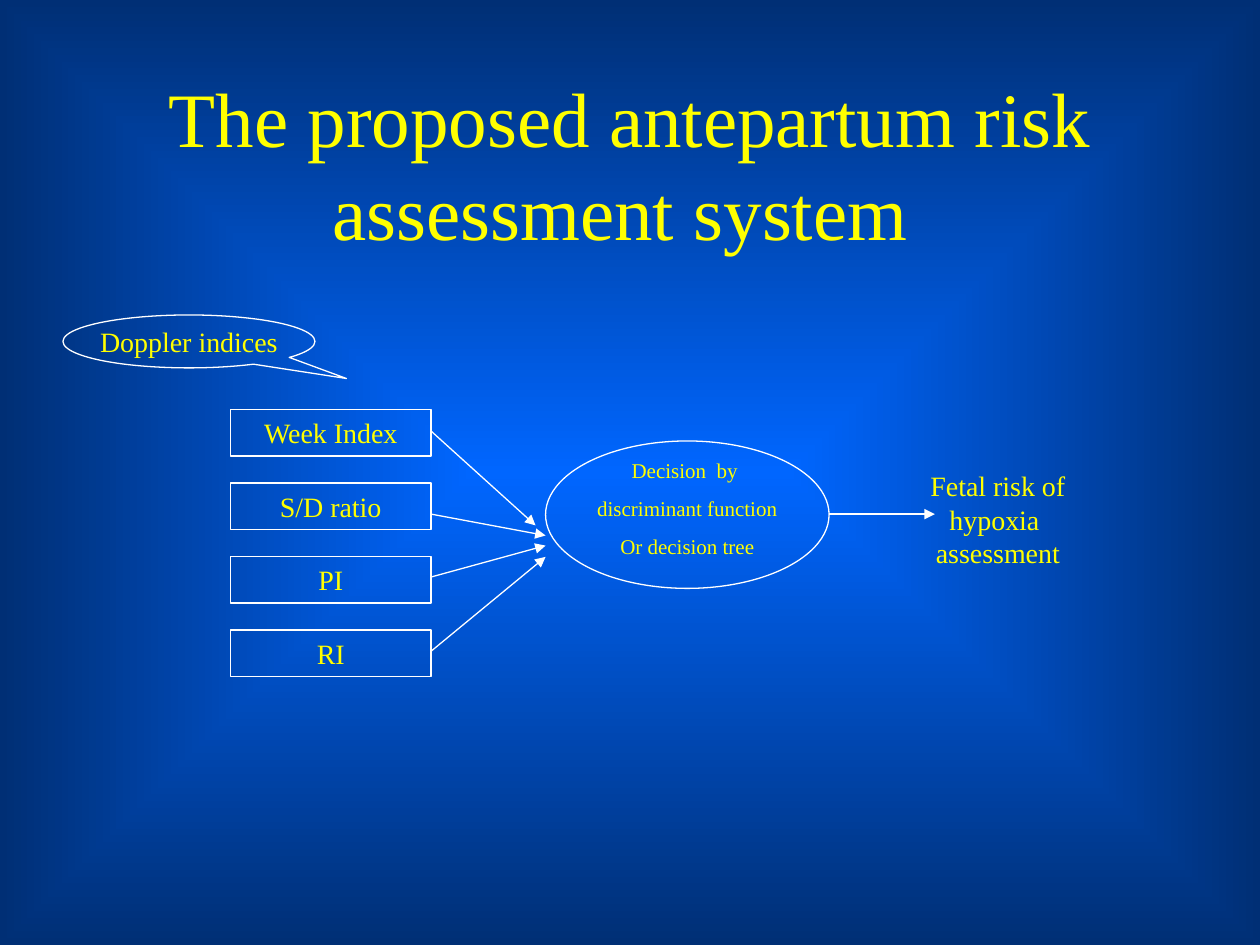
import pptx
import pptx.dml.color
import pptx.enum.shapes
import pptx.enum.text
import pptx.oxml
import pptx.oxml.ns
import pptx.util
from pptx.util import Inches

YELLOW = pptx.dml.color.RGBColor(0xFF, 0xFF, 0x00)
WHITE = pptx.dml.color.RGBColor(0xFF, 0xFF, 0xFF)
BRIGHT_BLUE = pptx.dml.color.RGBColor(0x00, 0x66, 0xFF)
DARK_BLUE = pptx.dml.color.RGBColor(0x00, 0x2F, 0x75)
FONT = "Times New Roman"
ANCHOR = pptx.enum.text.MSO_ANCHOR
SHAPES = pptx.enum.shapes.MSO_SHAPE


def drawing_element(tag, attributes="", content=""):
    namespace = pptx.oxml.ns.nsdecls("a")
    return pptx.oxml.parse_xml(
        f"<a:{tag} {namespace} {attributes}>{content}</a:{tag}>")


def set_background(slide):
    fill = slide.background.fill
    fill.gradient()
    for stop, color, position in zip(
            fill.gradient_stops, (BRIGHT_BLUE, DARK_BLUE), (0, 1)):
        stop.color.rgb = color
        stop.position = position
    # Turn the linear gradient into one that spreads from the centre
    gradient = slide.element.find(".//" + pptx.oxml.ns.qn("a:gradFill"))
    linear = gradient.find(pptx.oxml.ns.qn("a:lin"))
    center = '<a:fillToRect l="50000" t="50000" r="50000" b="50000"/>'
    gradient.replace(linear, drawing_element("path", 'path="rect"', center))


def write_text(shape, *lines, size=16, anchor=ANCHOR.TOP, space_between=0,
               wrap=True):
    frame = shape.text_frame
    frame.word_wrap = wrap
    frame.auto_size = pptx.enum.text.MSO_AUTO_SIZE.NONE
    frame.vertical_anchor = anchor
    for index, line in enumerate(lines):
        paragraph = frame.add_paragraph() if index else frame.paragraphs[0]
        paragraph.text = line
        paragraph.alignment = pptx.enum.text.PP_ALIGN.CENTER
        if index:
            paragraph.space_before = pptx.util.Pt(space_between)
        paragraph.font.name = FONT
        paragraph.font.size = pptx.util.Pt(size)
        paragraph.font.color.rgb = YELLOW


def add_outline(slide, kind, left, top, width, height):
    shape = slide.shapes.add_shape(
        kind, Inches(left), Inches(top), Inches(width), Inches(height))
    shape.shadow.inherit = False
    shape.fill.background()
    shape.line.color.rgb = WHITE
    shape.line.width = pptx.util.Pt(0.75)
    return shape


def add_label(slide, left, top, width, height, *lines, **text_format):
    label = slide.shapes.add_textbox(
        Inches(left), Inches(top), Inches(width), Inches(height))
    write_text(label, *lines, **text_format)


def add_arrow(slide, start, end):
    arrow = slide.shapes.add_connector(
        pptx.enum.shapes.MSO_CONNECTOR.STRAIGHT,
        *(Inches(value) for value in (*start, *end)))
    arrow.line.color.rgb = WHITE
    arrow.line.width = pptx.util.Pt(0.75)
    line = arrow.element.spPr.find(pptx.oxml.ns.qn("a:ln"))
    line.append(drawing_element("tailEnd", 'type="triangle"'))
    arrow.element.spPr.append(drawing_element("effectLst"))


def add_title(slide, text):
    title = slide.shapes.title
    title.left, title.top = Inches(0.75), Inches(0.67)
    title.width, title.height = Inches(8.5), Inches(1.25)
    write_text(title, text, size=44, anchor=ANCHOR.MIDDLE)


def main():
    presentation = pptx.Presentation()
    presentation.slide_width = Inches(10)
    presentation.slide_height = Inches(7.5)
    slide = presentation.slides.add_slide(presentation.slide_layouts[5])
    set_background(slide)
    add_title(slide, "The proposed antepartum risk assessment system ")

    # Callout naming the group of inputs, on one line to stay inside the oval
    callout = add_outline(slide, SHAPES.OVAL_CALLOUT, 0.5, 2.5, 2, 0.42)
    callout.adjustments[0] = 0.625
    callout.adjustments[1] = 0.7
    callout.text_frame.margin_top = callout.text_frame.margin_bottom = 0
    write_text(callout, "Doppler indices", anchor=ANCHOR.MIDDLE, wrap=False)

    # Column of evenly spaced inputs
    for row, name in enumerate(("Week Index", "S/D ratio", "PI", "RI")):
        top = 3.25 + row * 1.75 / 3
        box = add_outline(slide, SHAPES.RECTANGLE, 1.83, top, 1.59, 0.37)
        write_text(box, name)

    # Decision step and its result
    add_outline(slide, SHAPES.OVAL, 4.33, 3.5, 2.25, 1.17)
    add_label(slide, 4.58, 3.58, 1.75, 0.91, "Decision  by ",
              "discriminant function", "Or decision tree",
              size=12, space_between=7.5)
    add_label(slide, 7.17, 3.67, 1.5, 0.9, "Fetal risk of hypoxia  assessment")

    # Arrows from the inputs to the decision, then on to the result
    for start_y, end in ((3.42, (4.25, 4.17)), (4.08, (4.33, 4.25)),
                         (4.58, (4.33, 4.33)), (5.17, (4.33, 4.42))):
        add_arrow(slide, (3.42, start_y), end)
    add_arrow(slide, (6.58, 4.08), (7.42, 4.08))

    presentation.save("out.pptx")


if __name__ == "__main__":
    main()
